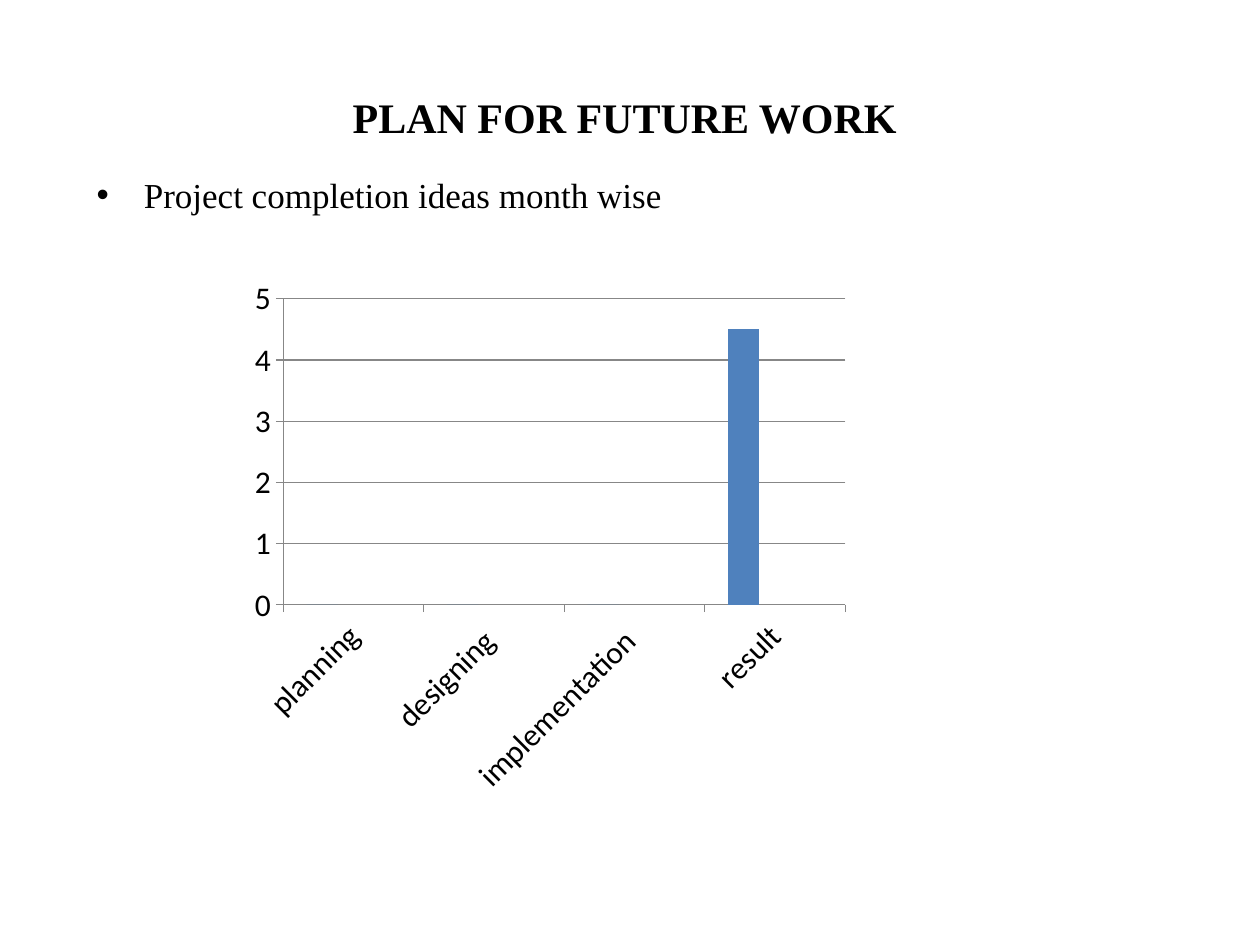
from dataclasses import dataclass

from lxml.etree import SubElement
from pptx import Presentation
from pptx.chart.data import CategoryChartData
from pptx.dml.color import RGBColor
from pptx.enum.chart import XL_CHART_TYPE, XL_TICK_MARK
from pptx.enum.text import MSO_ANCHOR, PP_ALIGN
from pptx.oxml import parse_xml
from pptx.oxml.ns import nsdecls, qn
from pptx.util import Cm, Pt


@dataclass(frozen=True)
class Theme:
    text: str = "000000"
    grid: str = "878787"
    series: tuple = ("4F81BD", "C0504D", "9BBB59")
    font: str = "Times New Roman"
    chart_font: str = "Calibri"
    title_size: int = 24
    body_size: int = 20
    chart_size: int = 18


def write(tf, text, *, font, size, color, bold=False, align=PP_ALIGN.LEFT):
    p = tf.paragraphs[0]
    p.alignment = align
    r = p.add_run()
    r.text = text
    r.font.name = font
    r.font.size = Pt(size)
    r.font.bold = bold
    r.font.color.rgb = RGBColor.from_string(color)
    return p


class SlideBuilder:
    def __init__(self, s, theme):
        self.s = s
        self.theme = theme

    def box(self, at, anchor):
        tf = self.s.shapes.add_textbox(*map(Cm, at)).text_frame
        tf.word_wrap = True
        tf.vertical_anchor = anchor
        return tf

    def title(self, text, at):
        t = self.theme
        write(self.box(at, MSO_ANCHOR.MIDDLE), text, font=t.font,
              size=t.title_size, color=t.text, bold=True, align=PP_ALIGN.CENTER)

    def bullet(self, text, at, indent):
        t = self.theme
        p = write(self.box(at, MSO_ANCHOR.TOP), text, font=t.font,
                  size=t.body_size, color=t.text)
        p.space_before = Pt(t.body_size * 0.2)
        pPr = p._p.get_or_add_pPr()
        pPr.set("marL", str(Cm(indent)))
        pPr.set("indent", str(-Cm(indent)))
        SubElement(pPr, qn("a:buFont")).set("typeface", "Arial")
        SubElement(pPr, qn("a:buChar")).set("char", "•")

    def column_chart(self, categories, series, at, plot):
        t = self.theme
        data = CategoryChartData()
        data.categories = categories
        for name, values in series:
            data.add_series(name, values)
        chart = self.s.shapes.add_chart(
            XL_CHART_TYPE.COLUMN_CLUSTERED, *map(Cm, at), data).chart
        chart.has_legend = False
        chart.has_title = False
        chart.font.name = t.chart_font
        chart.font.size = Pt(t.chart_size)
        chart.font.color.rgb = RGBColor.from_string(t.text)

        columns = chart.plots[0]
        columns.vary_by_categories = False
        columns.gap_width = 150
        columns.overlap = 0
        for ser, color in zip(columns.series, t.series):
            ser.format.fill.solid()
            ser.format.fill.fore_color.rgb = RGBColor.from_string(color)

        value_axis, category_axis = chart.value_axis, chart.category_axis
        value_axis.minimum_scale = 0
        value_axis.maximum_scale = 5
        value_axis.major_unit = 1
        value_axis.has_major_gridlines = True
        for axis in (value_axis, category_axis):
            axis.major_tick_mark = XL_TICK_MARK.OUTSIDE
        for part in (value_axis, category_axis, value_axis.major_gridlines):
            part.format.line.color.rgb = RGBColor.from_string(t.grid)
            part.format.line.width = Pt(0.75)

        labels = category_axis.tick_labels.font
        labels.size = Pt(t.chart_size)
        body = category_axis._element.find(qn("c:txPr")).find(qn("a:bodyPr"))
        body.set("rot", str(-45 * 60000))
        body.set("vert", "horz")
        self.place_plot(chart, plot)

    def place_plot(self, chart, plot):
        area = chart._chartSpace.chart.plotArea
        for old in area.findall(qn("c:layout")):
            area.remove(old)
        settings = [("layoutTarget", "inner"), ("xMode", "edge"), ("yMode", "edge")]
        settings += zip("xywh", plot)
        tags = "".join(f'<c:{tag} val="{val}"/>' for tag, val in settings)
        area.insert(0, parse_xml(
            f'<c:layout {nsdecls("c")}><c:manualLayout>{tags}'
            '</c:manualLayout></c:layout>'))


def main():
    prs = Presentation()
    prs.slide_width, prs.slide_height = Cm(25.4), Cm(19.05)
    s = prs.slides.add_slide(prs.slide_layouts[6])
    slide = SlideBuilder(s, Theme())

    slide.title("PLAN FOR FUTURE WORK ", (1.27, 0.76, 22.86, 3.18))
    slide.bullet("Project completion ideas month wise",
                 (1.7, 3.38, 22.86, 12.57), indent=0.95)
    slide.column_chart(
        ["planning", "designing ", "implementation ", "result"],
        [("Series 1", (0, 0, 0, 4.5)),
         ("Series 2", (None,) * 4),
         ("Series 3", (None,) * 4)],
        at=(3.61, 5.28, 16.94, 11.28),
        plot=(0.124, 0.066, 0.669, 0.547))

    prs.save("out.pptx")


if __name__ == "__main__":
    main()
